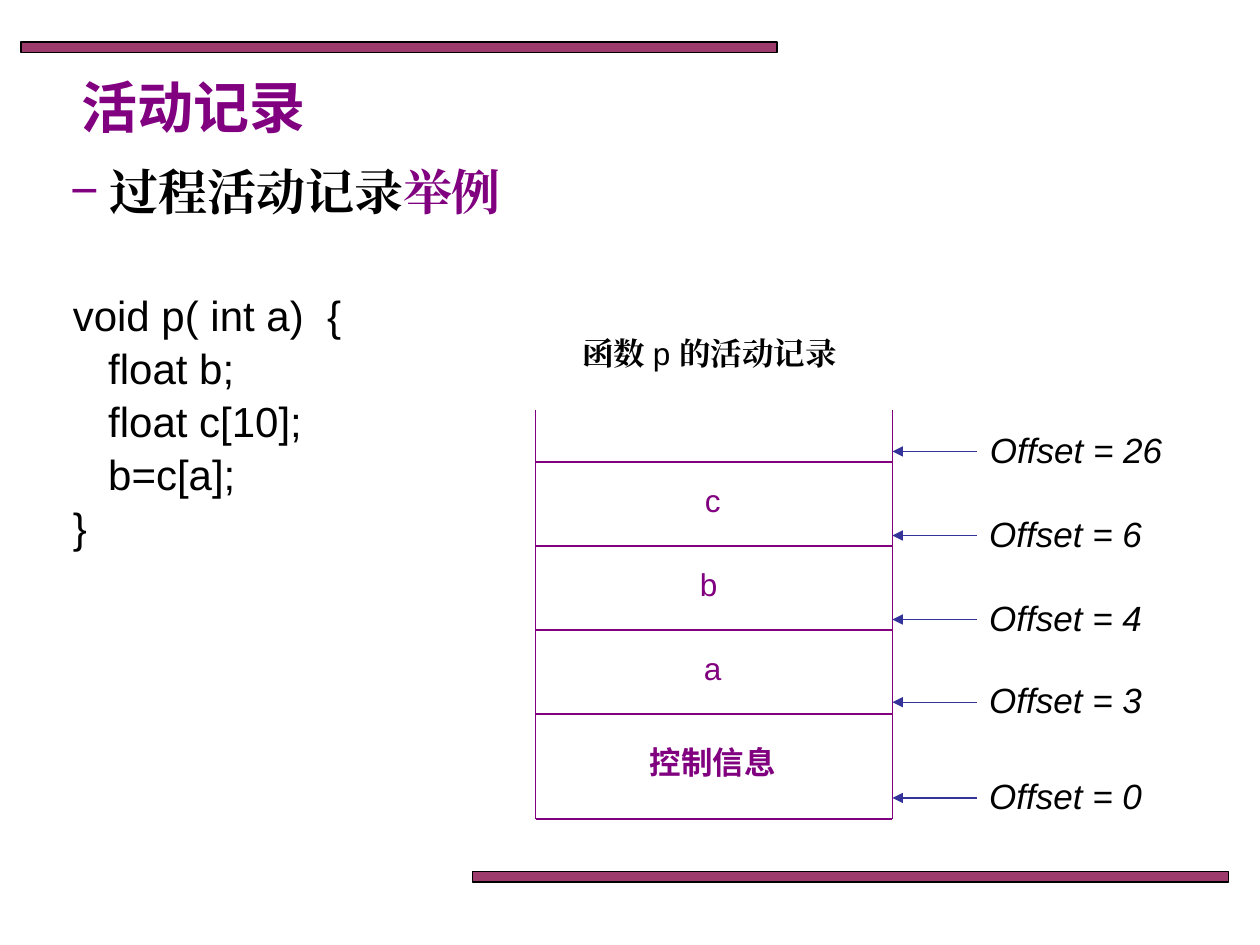
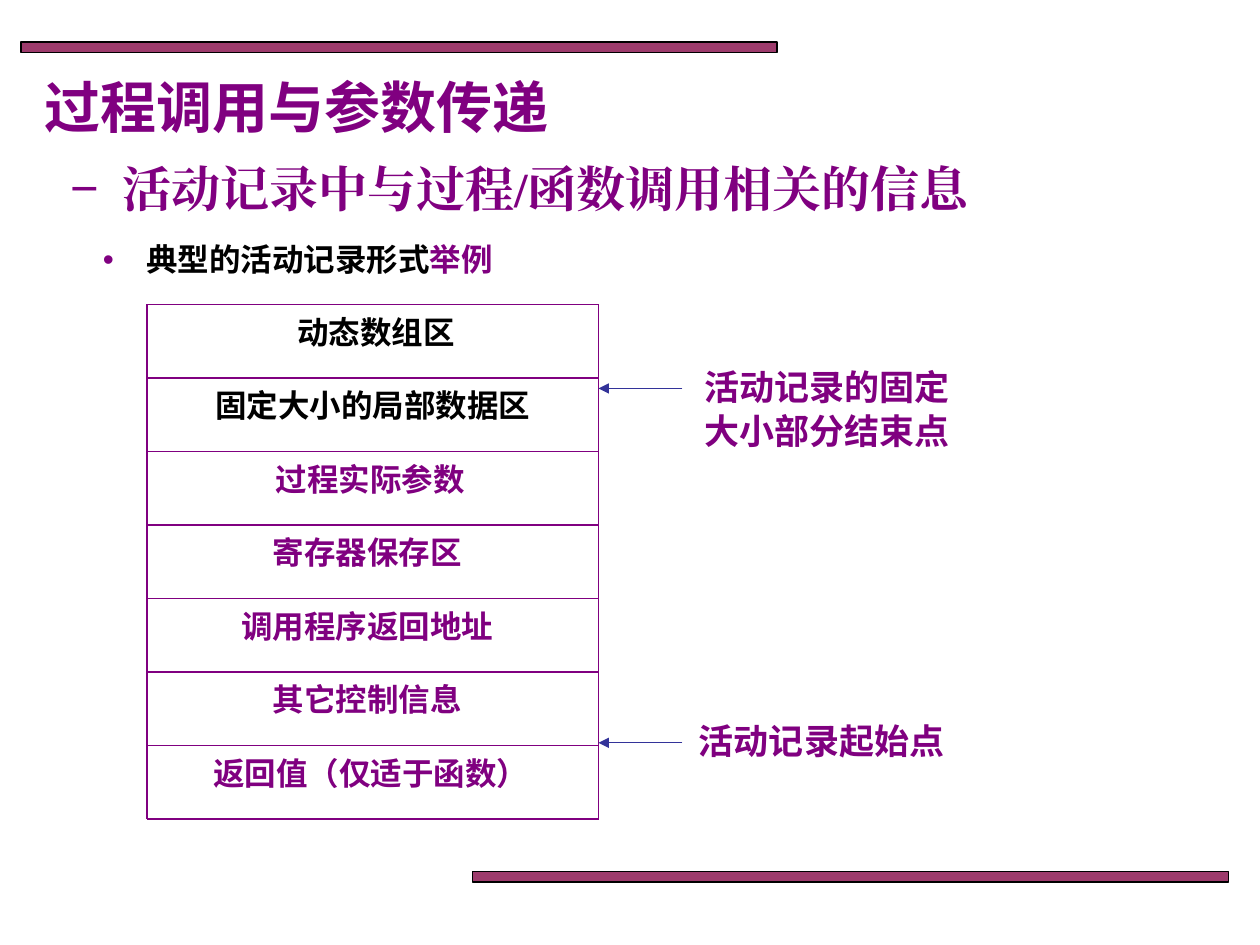
"""Builds two slides on procedure activation records."""
import dataclasses
import typing

import lxml.etree
import pptx
import pptx.dml.color
import pptx.enum.shapes
import pptx.enum.text
import pptx.oxml.ns
import pptx.util

PX = 9525
COLORS = {"purple": "800080", "band": "993366", "black": "000000", "arrow": "333399"}
LINE_SPACING = 1.05
ARROW_LENGTH = 64
ARROW_DROP = 24


@dataclasses.dataclass(frozen=True)
class Run:
    text: str
    color: str = "purple"
    bold: bool = True
    font: str = "Arial"
    italic: bool = False


@dataclasses.dataclass(frozen=True)
class Para:
    runs: tuple[Run, ...]
    size: int
    indent: int = 0
    hang: int = 0
    bullet: str = ""
    before: int = 0
    centered: bool = False


@dataclasses.dataclass(frozen=True)
class Label:
    left: int
    top: int
    width: int
    height: int
    run: Run
    size: int = 18


class Band(typing.NamedTuple):
    left: int
    top: int
    width: int = 576
    height: int = 8


class Frame(typing.NamedTuple):
    left: int
    right: int
    top: int
    bottom: int
    rules: tuple[int, ...]


BANDS = (Band(16, 32), Band(360, 664))


def px(n: int) -> pptx.util.Emu:
    return pptx.util.Emu(n * PX)


def rgb(name: str) -> pptx.dml.color.RGBColor:
    return pptx.dml.color.RGBColor.from_string(COLORS[name])


def add_child(parent, tag: str, **attrs: str):
    return lxml.etree.SubElement(parent, pptx.oxml.ns.qn(tag), attrs)


def style_font(font, run: Run, size: int) -> None:
    font.size = pptx.util.Pt(size)
    font.name = run.font
    font.bold = run.bold
    font.italic = run.italic
    font.color.rgb = rgb(run.color)


def fill_para(p, para: Para) -> None:
    pPr = p._p.get_or_add_pPr()
    pPr.set("marL", str(px(para.indent)))
    pPr.set("indent", str(px(-para.hang)))
    if para.bullet:
        add_child(add_child(pPr, "a:buClr"), "a:srgbClr", val=COLORS["purple"])
        add_child(pPr, "a:buFont", typeface="Arial")
        add_child(pPr, "a:buChar", char=para.bullet)
    align = pptx.enum.text.PP_ALIGN
    p.alignment = align.CENTER if para.centered else align.LEFT
    p.line_spacing = LINE_SPACING
    p.space_before = pptx.util.Pt(para.before)
    if len(set(dataclasses.replace(run, text="") for run in para.runs)) == 1:
        style_font(p.font, para.runs[0], para.size)
    for run in para.runs:
        r = p.add_run()
        r.text = run.text
        style_font(r.font, run, para.size)
        add_child(r._r.get_or_add_rPr(), "a:ea", typeface=run.font)


def fill_text(sp, paras: typing.Sequence[Para]) -> None:
    tf = sp.text_frame
    tf.word_wrap = True
    tf.auto_size = pptx.enum.text.MSO_AUTO_SIZE.NONE
    tf.vertical_anchor = pptx.enum.text.MSO_ANCHOR.TOP
    for i, para in enumerate(paras):
        fill_para(tf.add_paragraph() if i else tf.paragraphs[0], para)


def add_text(s, left: int, top: int, width: int, height: int, *paras: Para) -> None:
    fill_text(s.shapes.add_textbox(px(left), px(top), px(width), px(height)), paras)


def add_label(s, label: Label) -> None:
    add_text(s, label.left, label.top, label.width, label.height,
             Para((label.run,), label.size, centered=True))


def add_line(s, x1: int, y1: int, x2: int, y2: int, color: str = "purple", arrow: bool = False) -> None:
    straight = pptx.enum.shapes.MSO_CONNECTOR.STRAIGHT
    line = s.shapes.add_connector(straight, px(x1), px(y1), px(x2), px(y2))
    line.line.color.rgb = rgb(color)
    line.line.width = pptx.util.Pt(0.75)
    if arrow:
        add_child(line.line._get_or_add_ln(), "a:tailEnd", type="triangle")
    add_child(line._element.spPr, "a:effectLst")


def add_frame(s, frame: Frame) -> None:
    for x in (frame.left, frame.right):
        add_line(s, x, frame.top, x, frame.bottom)
    for y in frame.rules:
        add_line(s, frame.left, y, frame.right, y)


def add_callout(s, frame: Frame, label: Label) -> None:
    y = label.top + ARROW_DROP
    add_line(s, frame.right + ARROW_LENGTH, y, frame.right, y, "arrow", True)
    add_label(s, label)


def add_band(s, band: Band) -> None:
    sp = s.shapes.add_shape(pptx.enum.shapes.MSO_SHAPE.RECTANGLE, *map(px, band))
    sp.shadow.inherit = False
    sp.fill.solid()
    sp.fill.fore_color.rgb = rgb("band")
    color = sp._element.spPr.find(".//" + pptx.oxml.ns.qn("a:srgbClr"))
    add_child(color, "a:alpha", val="96000")
    sp.line.color.rgb = rgb("black")
    sp.line.width = pptx.util.Pt(0.75)


def add_slide(prs, title: str, left: int):
    s = prs.slides.add_slide(prs.slide_layouts[5])
    for band in BANDS:
        add_band(s, band)
    sp = s.shapes.title
    sp.left, sp.top, sp.width, sp.height = map(px, (left, 48, 704, 60))
    fill_text(sp, [Para((Run(title),), 32)])
    sp.text_frame.margin_left = px(20)
    return s


def build_example(prs) -> None:
    s = add_slide(prs, "活动记录", 42)
    times = "Times New Roman"
    heading = (Run("过程活动记录", "black", font=times), Run("举例", font=times))
    add_text(s, 44, 116, 636, 55, Para(heading, 28, 30, 30, "−"))

    code = (("void p( int a)  {", 0), ("float b;", 27), ("float c[10];", 27), ("b=c[a];", 27), ("}", 0))
    add_text(s, 46, 214, 317, 204,
             *(Para((Run(text, "black", False),), 24, indent) for text, indent in code))

    caption = (Run("函数 ", "black", font=times), Run("p ", "black", False),
               Run("的活动记录", "black", font=times))
    add_text(s, 401, 248, 279, 48, Para(caption, 18, centered=True))

    frame = Frame(408, 680, 312, 624, (352, 416, 480, 544, 624))
    add_frame(s, frame)
    for text, left, width, rule in zip("cba", (414, 408, 414), (258, 264, 258), frame.rules):
        add_label(s, Label(left, rule + 8, width, 48, Run(text, bold=False)))
    add_label(s, Label(469, 560, 148, 48, Run("控制信息")))

    for offset, left, top in ((26, 744, 320), (6, 736, 384), (4, 736, 448), (3, 736, 511), (0, 736, 584)):
        run = Run(f"Offset = {offset}", "black", False, italic=True)
        add_callout(s, frame, Label(left, top, 152, 41, run, 20))


def build_layout(prs) -> None:
    s = add_slide(prs, "过程调用与参数传递", 14)
    heading = Run("活动记录中与过程/函数调用相关的信息", font="Times New Roman")
    topic = (Run("典型的活动记录形式", "black"), Run("举例"))
    add_text(s, 44, 114, 824, 100,
             Para((heading,), 28, 40, 40, "−"),
             Para(topic, 18, 58, 33, "•", before=12))

    row_height = 56
    frame = Frame(112, 456, 232, 624, tuple(range(232, 625, row_height)))
    add_frame(s, frame)
    areas = (
        ("动态数组区", "black", 117, 339),
        ("固定大小的局部数据区", "black", 112, 344),
        ("过程实际参数", "purple", 117, 330),
        ("寄存器保存区", "purple", 112, 336),
        ("调用程序返回地址", "purple", 112, 336),
        ("其它控制信息", "purple", 112, 336),
        ("返回值（仅适于函数）", "purple", 112, 341),
    )
    for (text, color, left, width), top in zip(areas, frame.rules):
        add_label(s, Label(left, top, width, 48, Run(text, color)))
    add_callout(s, frame, Label(520, 272, 220, 74, Run("活动记录的固定大小部分结束点"), 20))
    add_callout(s, frame, Label(512, 542, 228, 41, Run("活动记录起始点"), 20))


def main() -> None:
    prs = pptx.Presentation()
    prs.slide_width, prs.slide_height = px(960), px(720)
    build_example(prs)
    build_layout(prs)
    prs.save("out.pptx")


if __name__ == "__main__":
    main()
